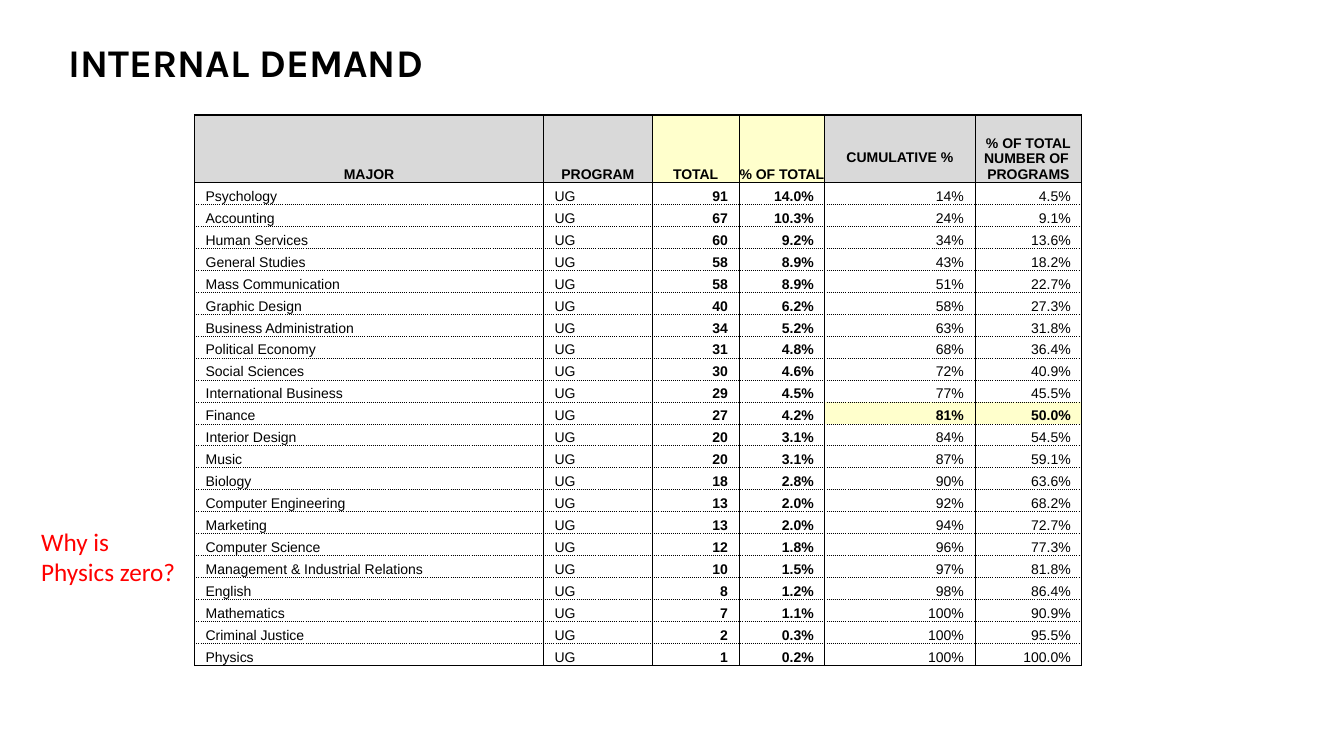
"""Build the Internal Demand slide with its table of majors."""
from itertools import accumulate

from lxml.etree import SubElement
from pptx import Presentation
from pptx.dml.color import RGBColor as RGB
from pptx.enum.text import MSO_ANCHOR as ANCHOR, MSO_AUTO_SIZE as AUTO, PP_ALIGN as AL
from pptx.oxml.ns import qn
from pptx.util import Inches, Pt

COLORS = {"black": "000000", "red": "FF0000", "gray": "D9D9D9",
          "yellow": "FFFFCC", "white": "FFFFFF"}
HEADERS = ["MAJOR", "PROGRAM", "TOTAL", "% OF TOTAL", "CUMULATIVE %\v",
           "% OF TOTAL\vNUMBER OF \vPROGRAMS"]
WIDTHS = [3.46, 1.08, 0.86, 0.85, 1.49, 1.06]
MAJORS = [
    ("Psychology", 91), ("Accounting", 67), ("Human Services", 60),
    ("General Studies", 58), ("Mass Communication", 58), ("Graphic Design", 40),
    ("Business Administration", 34), ("Political Economy", 31),
    ("Social Sciences", 30), ("International Business", 29), ("Finance", 27),
    ("Interior Design", 20), ("Music", 20), ("Biology", 18),
    ("Computer Engineering", 13), ("Marketing", 13), ("Computer Science", 12),
    ("Management & Industrial Relations", 10), ("English", 8),
    ("Mathematics", 7), ("Criminal Justice", 2), ("Physics", 1),
]
HEADER_H, TABLE_H = 0.67, 5.46


def style_run(r, font, size, color, bold=False):
    r.font.name, r.font.size, r.font.bold = font, Pt(size), bold
    r.font.color.rgb = RGB.from_string(COLORS[color])


def add_border(cell, side, width, dash="solid"):
    ln = SubElement(cell._tc.get_or_add_tcPr(), qn(f"a:ln{side}"), w=str(Pt(width)))
    fill = SubElement(ln, qn("a:solidFill"))
    SubElement(fill, qn("a:srgbClr"), val=COLORS["black"])
    SubElement(ln, qn("a:prstDash"), val=dash)


prs = Presentation()
prs.slide_width, prs.slide_height = Inches(13.33), Inches(7.5)
s = prs.slides.add_slide(prs.slide_layouts[5])

title = s.shapes.title
title.left, title.top = Inches(0.58), Inches(0.33)
title.width, title.height = Inches(5.08), Inches(1.92)
tf = title.text_frame
tf.text = "INTERNAL DEMAND"
tf.vertical_anchor, tf.auto_size = ANCHOR.TOP, AUTO.NONE
p = tf.paragraphs[0]
p.alignment, p.space_before = AL.LEFT, Pt(3.6)
style_run(p.runs[0], "Karla", 28, "black", True)

total = sum(count for _, count in MAJORS)
running = accumulate(count for _, count in MAJORS)
rows = [HEADERS]
for i, ((major, count), cumulative) in enumerate(zip(MAJORS, running), 1):
    rows.append([major, "UG", str(count), f"{count / total:.1%}",
                 f"{cumulative / total:.0%}", f"{i / len(MAJORS):.1%}"])

table = s.shapes.add_table(len(rows), len(WIDTHS), Inches(1.93), Inches(1.14),
                           Inches(sum(WIDTHS)), Inches(TABLE_H)).table
table.first_row = table.horz_banding = False
for column, width in zip(table.columns, WIDTHS):
    column.width = Inches(width)

last_row, last_col = len(rows) - 1, len(WIDTHS) - 1
for i, values in enumerate(rows):
    header = i == 0
    table.rows[i].height = Inches(HEADER_H if header else (TABLE_H - HEADER_H) / last_row)
    for j, text in enumerate(values):
        cell = table.cell(i, j)
        highlight = j in (2, 3) if header else values[0] == "Finance" and j >= 4
        numeric = not header and j >= 2
        cell.vertical_anchor = ANCHOR.BOTTOM
        cell.margin_top = cell.margin_bottom = 0
        cell.margin_left = Inches(0 if header or numeric else 0.11)
        cell.margin_right = Inches(0.11 if numeric else 0)

        add_border(cell, "L", 1 if header and j == 0 else 0.5)
        add_border(cell, "R", 1 if header and j == last_col else 0.5)
        add_border(cell, "T", 1 if i <= 1 else 0.5, "solid" if i <= 1 else "dot")
        add_border(cell, "B", 1 if header else 0.5,
                   "solid" if i in (0, last_row) else "dot")
        if header or numeric:
            cell.fill.solid()
            color = "yellow" if highlight else "gray" if header else "white"
            cell.fill.fore_color.rgb = RGB.from_string(COLORS[color])
        else:
            cell.fill.background()

        p = cell.text_frame.paragraphs[0]
        p.text = text
        p.alignment = AL.CENTER if header else AL.RIGHT if numeric else AL.LEFT
        for r in p.runs:
            style_run(r, "Arial", 10, "black", header or highlight or j in (2, 3))
        for br in p._p.findall(qn("a:br")):
            SubElement(br, qn("a:rPr"), sz="1000")
        SubElement(p._p, qn("a:endParaRPr"), sz="1000")

note = s.shapes.add_textbox(Inches(0.31), Inches(5.17), Inches(1.56), Inches(0.71))
tf = note.text_frame
tf.text = "Why is\nPhysics zero?"
tf.word_wrap, tf.auto_size = False, AUTO.SHAPE_TO_FIT_TEXT
for p in tf.paragraphs:
    style_run(p.runs[0], "Calibri", 18, "red")

prs.save("out.pptx")
